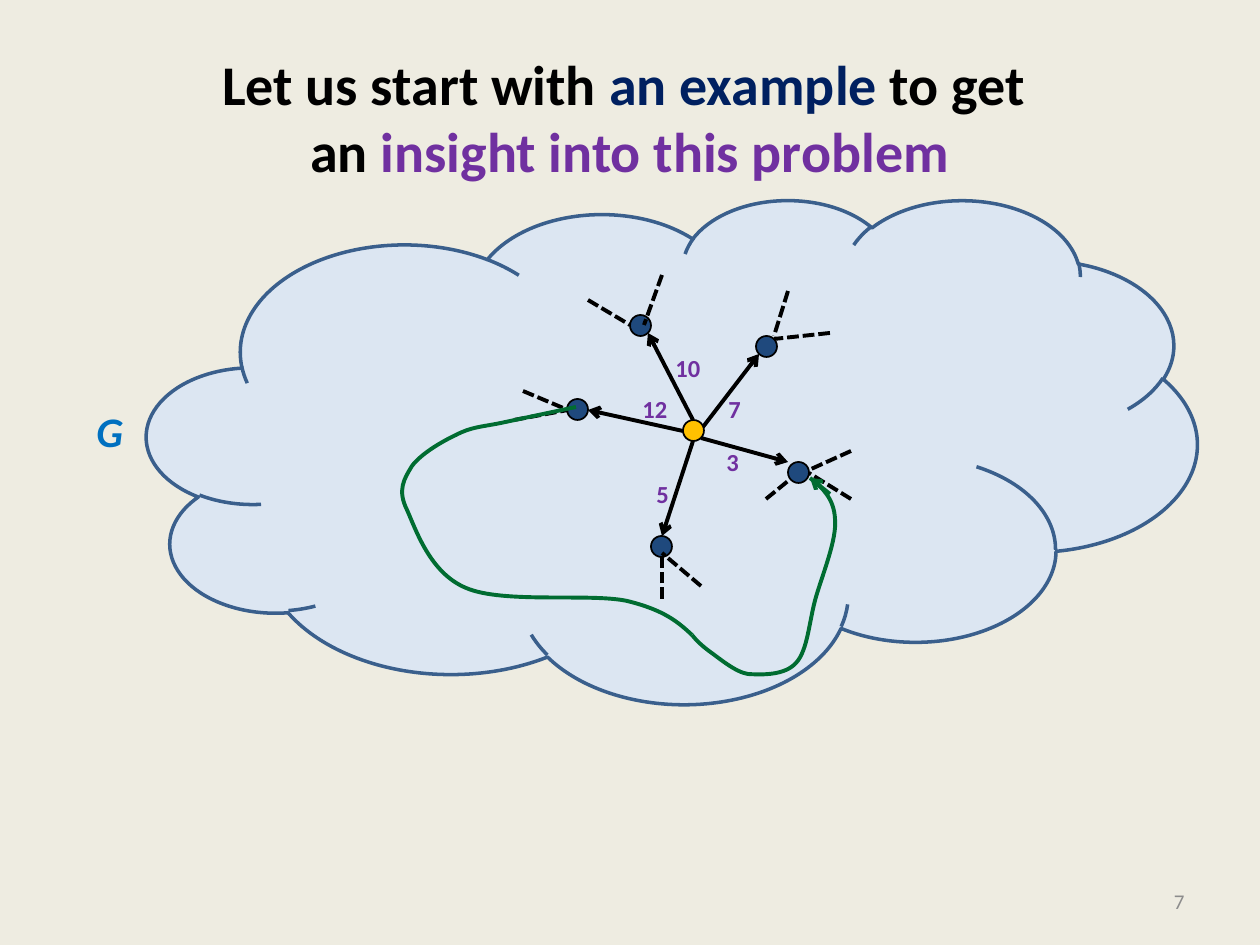
from lxml.etree import SubElement
from pptx import Presentation
from pptx.dml.color import RGBColor
from pptx.enum.dml import MSO_LINE
from pptx.enum.shapes import MSO_CONNECTOR, MSO_SHAPE
from pptx.enum.text import MSO_ANCHOR, MSO_AUTO_SIZE, PP_ALIGN
from pptx.oxml.ns import qn
from pptx.util import Emu, Pt

SCALE = 914400 / 126
BLACK, NAVY, PURPLE, GREEN = "000000", "1F497D", "7030A0", "006C31"
NODE = 21

ARROWS = [
    (683, 431, 588, 410), (693, 441, 662, 536), (701, 438, 788, 462),
    (703, 427, 759, 354), (693, 420, 648, 333),
]
NODES = [(756, 336), (788, 462), (651, 536), (567, 399), (630, 315)]
DASHES = [
    (830, 333, 774, 339), (788, 291, 774, 336), (851, 499, 809, 473),
    (851, 451, 809, 470), (662, 599, 662, 557), (701, 586, 662, 553),
    (514, 420, 568, 410), (523, 391, 568, 410), (588, 300, 630, 325),
    (662, 275, 644, 325),
]
WEIGHTS = [
    ("3", 714, 441, 38), ("5", 644, 473, 38), ("12", 630, 388, 50),
    ("10", 663, 347, 50), ("7", 716, 388, 38),
]
WEST_PATH = [
    [(576, 407)],
    [(501, 423)],
    [(481, 427), (471, 427), (456, 435)],
    [(441, 442), (421, 454), (412, 466)],
    [(404, 479), (397, 490), (407, 510)],
    [(416, 530), (430, 573), (466, 588)],
    [(503, 604), (590, 593), (627, 601)],
    [(664, 610), (678, 622), (692, 635)],
]
EAST_PATH = [
    [(692, 635)],
    [(696, 640), (701, 645), (709, 651)],
    [(719, 658), (735, 672), (748, 674)],
    [(764, 675), (785, 675), (796, 663)],
    [(808, 650), (809, 621), (816, 597)],
    [(823, 573), (837, 539), (835, 519)],
    [(834, 499), (823, 488), (810, 478)],
]


def px(v):
    return Emu(round(v * SCALE))


def rgb(value):
    return RGBColor.from_string(value)


def apply(obj, values):
    for name, value in values.items():
        setattr(obj, name, value)


def set_line(sp, color, width):
    sp.line.color.rgb = rgb(color)
    sp.line.width = Pt(width)


def add_text(s, box, lines, size, align=PP_ALIGN.LEFT, anchor=MSO_ANCHOR.TOP,
             **style):
    tf = s.shapes.add_textbox(*map(px, box)).text_frame
    apply(tf, {"word_wrap": True, "vertical_anchor": anchor})
    p = tf.paragraphs[0]
    p.alignment = align
    for i, runs in enumerate(lines):
        if i:
            p.add_line_break()
        for text, color in runs:
            r = p.add_run()
            r.text = text
            apply(r.font, {"name": "Calibri", "size": Pt(size), **style})
            r.font.color.rgb = rgb(color)
    return tf


def add_label(s, box, text, color, size, **style):
    tf = add_text(s, box, [[(text, color)]], size, bold=True, **style)
    apply(tf, {"word_wrap": False, "auto_size": MSO_AUTO_SIZE.SHAPE_TO_FIT_TEXT})


def add_preset(s, kind, box, fill, line, width):
    sp = s.shapes.add_shape(kind, *map(px, box))
    sp.shadow.inherit = False
    sp.fill.solid()
    sp.fill.fore_color.rgb = rgb(fill)
    set_line(sp, line, width)


def add_node(s, x, y, fill):
    add_preset(s, MSO_SHAPE.OVAL, (x, y, NODE, NODE), fill, BLACK, 1)


def add_line(s, ends, color=BLACK, arrow=False):
    sp = s.shapes.add_connector(MSO_CONNECTOR.STRAIGHT, *map(px, ends))
    set_line(sp, color, 2.25)
    if arrow:
        SubElement(sp.line._get_or_add_ln(), qn("a:tailEnd"), type="arrow")
    else:
        sp.line.dash_style = MSO_LINE.SQUARE_DOT
    SubElement(sp._element.spPr, qn("a:effectLst"))


def add_curve(s, segments):
    start, *anchors = [tuple(map(px, segment[-1])) for segment in segments]
    builder = s.shapes.build_freeform(*start)
    builder.add_line_segments(anchors, close=False)
    sp = builder.convert_to_shape()
    sp.shadow.inherit = False
    sp.fill.background()
    set_line(sp, GREEN, 2.25)
    steps = list(sp._element.iter(qn("a:lnTo")))
    for step, segment in zip(steps, segments[1:]):
        if len(segment) == 3:
            step.tag = qn("a:cubicBezTo")
            for pt in list(step):
                step.remove(pt)
            for x, y in segment:
                SubElement(step, qn("a:pt"), x=str(px(x) - sp.left),
                           y=str(px(y) - sp.top))


def main():
    prs = Presentation()
    apply(prs, {"slide_width": px(1260), "slide_height": px(945)})
    s = prs.slides.add_slide(prs.slide_layouts[6])
    s.background.fill.solid()
    s.background.fill.fore_color.rgb = rgb("EEECE1")

    title = [
        [("Let us start with ", BLACK), ("an example", "002060"), (" to get ", BLACK)],
        [("an ", BLACK), ("insight into this problem", PURPLE)],
    ]
    add_text(s, (63, 38, 1134, 157), title, 32, PP_ALIGN.CENTER,
             MSO_ANCHOR.MIDDLE, bold=True)
    add_text(s, (903, 876, 294, 50), [[("7", "8C8C8C")]], 12, PP_ALIGN.RIGHT,
             MSO_ANCHOR.MIDDLE)

    add_preset(s, MSO_SHAPE.CLOUD, (147, 199, 1050, 504), "DCE6F2", "3A5F8C", 2)
    for ends in ARROWS:
        add_line(s, ends, arrow=True)
    add_node(s, 683, 420, "FFC000")
    for x, y in NODES:
        add_node(s, x, y, NAVY)
    for ends in DASHES:
        add_line(s, ends)
    for text, x, y, width in WEIGHTS:
        add_label(s, (x, y, width, 43), text, PURPLE, 14)
    add_label(s, (84, 399, 53, 63), "G", "0070C0", 24, italic=True)

    for segments in (WEST_PATH, EAST_PATH):
        add_curve(s, segments)
    add_line(s, (830, 494, 810, 478), GREEN, arrow=True)
    add_line(s, (766, 499, 788, 481))
    prs.save("out.pptx")


if __name__ == "__main__":
    main()
